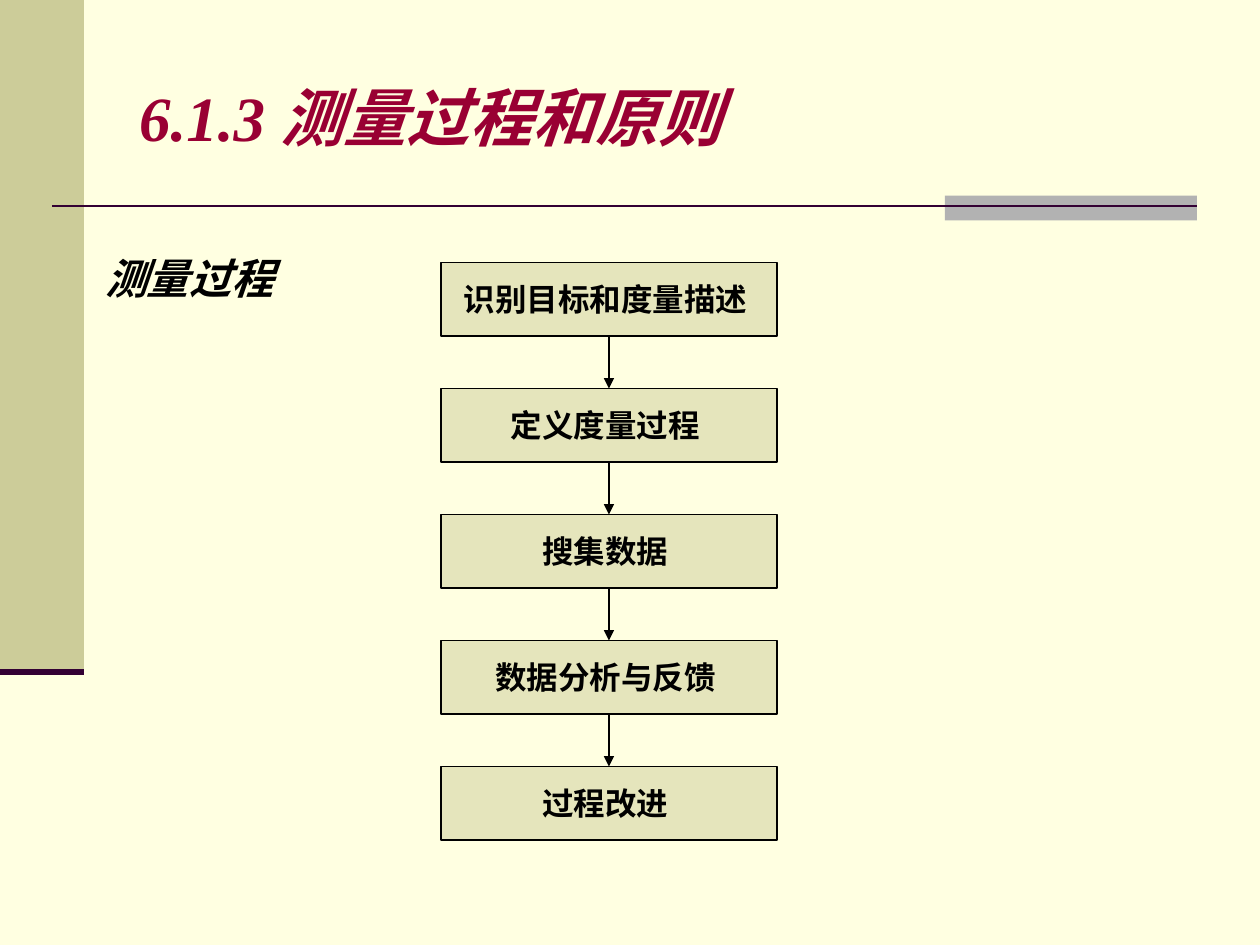
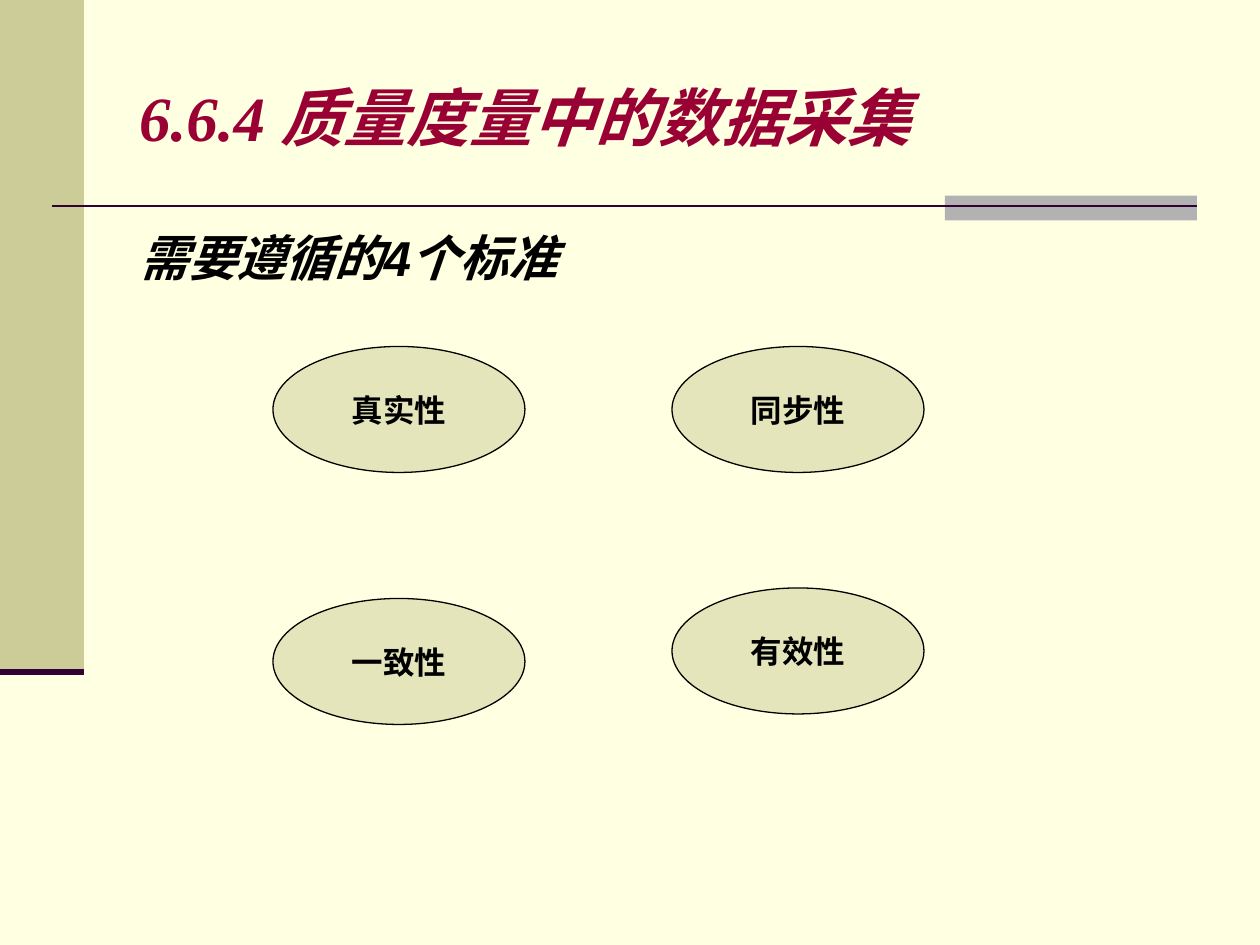
from lxml import etree
from pptx import Presentation
from pptx.dml.color import RGBColor
from pptx.enum.lang import MSO_LANGUAGE_ID
from pptx.enum.shapes import MSO_CONNECTOR, MSO_SHAPE
from pptx.enum.text import MSO_ANCHOR, MSO_AUTO_SIZE, PP_ALIGN
from pptx.oxml.ns import qn
from pptx.util import Pt

PX = 9525  # EMU in one pixel, 96 pixels to the inch
RECTANGLE, ELLIPSE = MSO_SHAPE.RECTANGLE, MSO_SHAPE.OVAL
STRAIGHT = MSO_CONNECTOR.STRAIGHT
MIDDLE, TOP = MSO_ANCHOR.MIDDLE, MSO_ANCHOR.TOP
LEFT, CENTER, RIGHT = PP_ALIGN.LEFT, PP_ALIGN.CENTER, PP_ALIGN.RIGHT
NO_AUTOFIT = MSO_AUTO_SIZE.NONE
CHINESE = MSO_LANGUAGE_ID.SIMPLIFIED_CHINESE

CREAM, KHAKI, GRAY = "FFFFE1", "CCCC99", "B2B2B2"
PLUM, CRIMSON, BLACK = "330033", "990033", "000000"
color = RGBColor.from_string


def write(shape, text, size, align, anchor, wrap=False, margins=(0, 0),
          italic=True, font="Arial", ink=BLACK):
    """Fill a shape with one bold line of text; margins are side, top/bottom."""
    frame = shape.text_frame
    frame.auto_size = NO_AUTOFIT
    frame.word_wrap = wrap
    frame.vertical_anchor = anchor
    frame.margin_left = frame.margin_right = margins[0] * PX
    frame.margin_top = frame.margin_bottom = margins[1] * PX
    para = frame.paragraphs[0]
    para.alignment = align
    span = para.add_run()
    span.text = text
    span.font.name, span.font.size = font, Pt(size)
    span.font.bold, span.font.italic = True, italic
    span.font.color.rgb = color(ink)
    span.font.language_id = CHINESE


def add_line(page, ends, ink, width):
    line = page.shapes.add_connector(STRAIGHT, *(n * PX for n in ends))
    line.line.color.rgb = color(ink)
    line.line.width = Pt(width)
    etree.SubElement(line.element.spPr, qn("a:effectLst"))
    return line


deck = Presentation()
deck.slide_width, deck.slide_height = 960 * PX, 720 * PX
background = deck.slide_master.background.fill
background.solid()
background.fore_color.rgb = color(CREAM)

# Both pages with their titles
layout = deck.slide_layouts.get_by_name("Title Only")
pages = []
for heading in ("6.1.3 测量过程和原则", "6.6.4 质量度量中的数据采集"):
    page = deck.slides.add_slide(layout)
    title = page.shapes.title
    title.left, title.top = 96 * PX, 29 * PX
    title.width, title.height = 816 * PX, 120 * PX
    write(title, heading, 36, LEFT, MIDDLE, wrap=True, margins=(10, 5),
          font="Times New Roman", ink=CRIMSON)
    pages.append(page)
process_page, criteria_page = pages

# Shared bands and rules, drawn once and moved to the layout
for placeholder in list(layout.placeholders):
    if placeholder.placeholder_format.idx != 0:
        layout.shapes.element.remove(placeholder.element)
decoration = []
for place, fill in (((0, 0, 64, 512), KHAKI), ((720, 149, 192, 19), GRAY)):
    band = process_page.shapes.add_shape(RECTANGLE, *(n * PX for n in place))
    band.shadow.inherit = False
    band.fill.solid()
    band.fill.fore_color.rgb = color(fill)
    band.line.fill.background()
    decoration.append(band)
decoration.append(add_line(process_page, (40, 157, 912, 157), PLUM, 1.5))
decoration.append(add_line(process_page, (0, 512, 64, 512), PLUM, 3.5))
for part in decoration:
    layout.shapes.element.append(part.element)

# Subheadings
subheading = process_page.shapes.add_textbox(80 * PX, 192 * PX, 128 * PX, 38 * PX)
write(subheading, "测量过程", 24, RIGHT, TOP)
subheading = criteria_page.shapes.add_textbox(96 * PX, 168 * PX, 816 * PX, 64 * PX)
write(subheading, "需要遵循的4个标准", 28, LEFT, TOP, wrap=True, margins=(10, 5))

# Process steps run down one column; criteria sit in two columns
STEP_LEFT, STEP_TOP, STEP_WIDTH, STEP_HEIGHT, STEP_PITCH = 336, 200, 256, 56, 96
steps = ("识别目标和度量描述 ", "定义度量过程 ", "搜集数据 ", "数据分析与反馈 ", "过程改进 ")
nodes = [
    (process_page, RECTANGLE, step,
     (STEP_LEFT, STEP_TOP + i * STEP_PITCH, STEP_WIDTH, STEP_HEIGHT))
    for i, step in enumerate(steps)
]
criteria = (("真实性", 208, 264), ("同步性", 512, 264),
            ("一致性", 208, 456), ("有效性", 512, 448))
nodes += [(criteria_page, ELLIPSE, name, (left, top, 192, 96))
          for name, left, top in criteria]

for page, kind, text, place in nodes:
    node = page.shapes.add_shape(kind, *(n * PX for n in place))
    node.shadow.inherit = False
    node.fill.solid()
    node.fill.fore_color.rgb = color(KHAKI)
    tint = node.element.spPr.find(".//" + qn("a:srgbClr"))
    etree.SubElement(tint, qn("a:alpha"), val="50000")
    node.line.color.rgb = color(BLACK)
    node.line.width = Pt(0.75)
    write(node, text, 18, CENTER, MIDDLE, italic=False)

# Arrows between consecutive steps
middle = STEP_LEFT + STEP_WIDTH // 2
for i in range(len(steps) - 1):
    top = STEP_TOP + i * STEP_PITCH
    ends = (middle, top + STEP_HEIGHT, middle, top + STEP_PITCH)
    arrow = add_line(process_page, ends, BLACK, 0.75)
    etree.SubElement(arrow.line._get_or_add_ln(), qn("a:tailEnd"), type="triangle")

deck.save("out.pptx")
